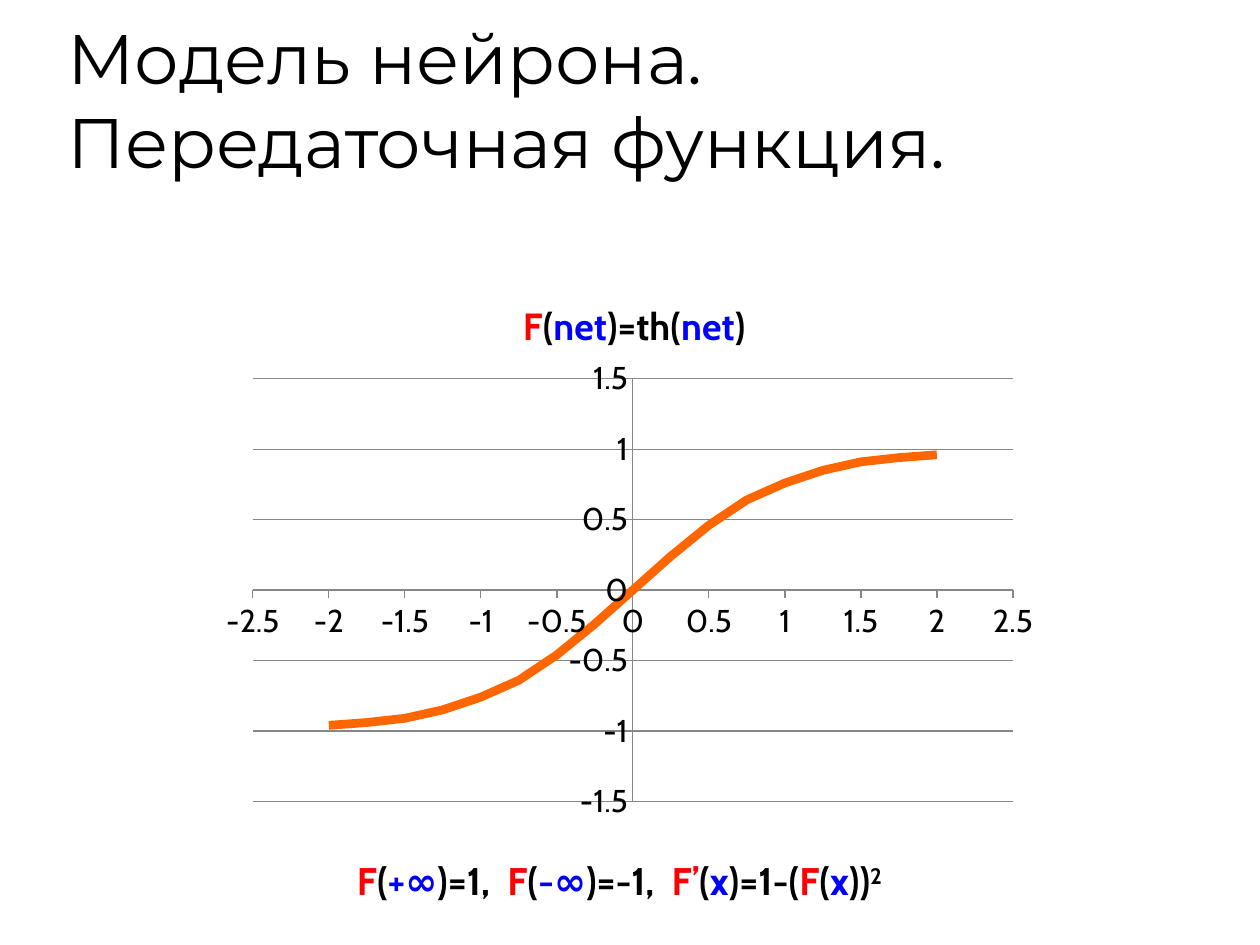
from math import tanh
from typing import NamedTuple

from pptx import Presentation
from pptx.chart.data import XyChartData
from pptx.dml.color import RGBColor
from pptx.enum.chart import XL_CHART_TYPE as ChartType, XL_TICK_MARK as Tick
from pptx.enum.text import MSO_ANCHOR as Anchor, MSO_AUTO_SIZE as AutoSize, PP_ALIGN as Align
from pptx.oxml import parse_xml
from pptx.oxml.ns import nsdecls, qn
from pptx.util import Emu, Pt

EMU_PER_PX = 914400 / 126
BLACK, RED, BLUE, ORANGE, GRAY = "000000", "FF0000", "0000FF", "FF6600", "878787"


class Box(NamedTuple):
    left: int
    top: int
    width: int
    height: int


class Term(NamedTuple):
    text: str
    color: str = BLACK
    superscript: bool = False


SLIDE = Box(0, 0, 1260, 945)
TITLE = Box(55, 32, 1071, 157)
CHART = Box(210, 273, 840, 560)
PLOT = Box(253, 379, 760, 423)
CHART_TITLE = Box(519, 297, 222, 46)
PROPERTIES = Box(84, 851, 1071, 59)

F, NET, X = Term("F", RED), Term("net", BLUE), Term("x", BLUE)
OPEN = Term("(")
FORMULA = [F, OPEN, NET, Term(")=th("), NET, Term(")")]
FORMULA_PROPERTIES = [
    F, OPEN, Term("+∞", BLUE), Term(")=1,  "),
    F, OPEN, Term("-∞", BLUE), Term(")=-1,  "),
    Term("F’", RED), OPEN, X, Term(")=1-("),
    F, OPEN, X, Term("))"), Term("2", superscript=True),
]


def px(length: int) -> Emu:
    return Emu(round(length * EMU_PER_PX))


def rgb(color: str) -> RGBColor:
    return RGBColor.from_string(color)


def place(box: Box) -> list[Emu]:
    return [px(length) for length in box]


def write_formula(paragraph, terms: list[Term], size: float) -> None:
    font = paragraph.font
    font.name, font.size, font.bold = "Cabin", Pt(size), True
    for term in terms:
        run = paragraph.add_run()
        run.text = term.text
        run.font.color.rgb = rgb(term.color)
        if term.superscript:
            run._r.get_or_add_rPr().set("baseline", "30000")


def set_layout(element, index: int, box: Box, sized: bool) -> None:
    """Fix a chart part at a slide position; only the plot area has a size."""
    for old_layout in element.findall(qn("c:layout")):
        element.remove(old_layout)
    values = {
        "x": (box.left - CHART.left) / CHART.width,
        "y": (box.top - CHART.top) / CHART.height,
    }
    if sized:
        values |= {"w": box.width / CHART.width, "h": box.height / CHART.height}
    target = '<c:layoutTarget val="inner"/>' if sized else ""
    modes = '<c:xMode val="edge"/><c:yMode val="edge"/>'
    sizes = "".join(f'<c:{key} val="{value:.3f}"/>' for key, value in values.items())
    element.insert(index, parse_xml(
        f'<c:layout {nsdecls("c")}><c:manualLayout>{target}{modes}{sizes}'
        "</c:manualLayout></c:layout>"))


def style_axis(axis, limit: float, tick: Tick) -> None:
    axis.minimum_scale, axis.maximum_scale, axis.major_unit = -limit, limit, 0.5
    axis.major_tick_mark, axis.minor_tick_mark = tick, Tick.NONE
    axis.tick_labels.number_format = "General"
    axis.tick_labels.number_format_is_linked = False
    axis.format.line.color.rgb = rgb(GRAY)
    axis.format.line.width = Pt(0.75)


def add_title(slide) -> None:
    title = slide.shapes.title
    title.left, title.top, title.width, title.height = place(TITLE)
    frame = title.text_frame
    frame.text = "Модель нейрона. Передаточная функция."
    frame.word_wrap, frame.auto_size = True, AutoSize.NONE
    frame.vertical_anchor = Anchor.BOTTOM
    paragraph = frame.paragraphs[0]
    paragraph.alignment = Align.LEFT
    paragraph.font.name, paragraph.font.size = "Montserrat", Pt(40)
    paragraph.font.color.rgb = rgb(BLACK)


def add_tanh_chart(slide) -> None:
    chart_data = XyChartData()
    points = chart_data.add_series("Series 1")
    for quarter in range(-8, 9):
        net = quarter / 4
        points.add_data_point(net, round(tanh(net), 2))
    chart = slide.shapes.add_chart(
        ChartType.XY_SCATTER_SMOOTH_NO_MARKERS, *place(CHART), chart_data).chart
    chart.has_legend = False
    chart.font.name, chart.font.size = "Cabin", Pt(18)
    chart.font.color.rgb = rgb(BLACK)

    plot = chart.plots[0]
    plot.vary_by_categories = False
    curve = plot.series[0]
    curve.smooth = True
    curve.format.line.color.rgb = rgb(ORANGE)
    curve.format.line.width = Pt(5)

    style_axis(chart.category_axis, 2.5, Tick.OUTSIDE)
    style_axis(chart.value_axis, 1.5, Tick.NONE)
    chart.category_axis.has_major_gridlines = False
    chart.value_axis.has_major_gridlines = True
    gridline = chart.value_axis.major_gridlines.format.line
    gridline.color.rgb, gridline.width = rgb(GRAY), Pt(0.75)

    chart.has_title = True
    heading = chart.chart_title
    write_formula(heading.text_frame.paragraphs[0], FORMULA, 21.6)
    set_layout(heading._element, 1, CHART_TITLE, sized=False)
    set_layout(chart._chartSpace.chart.plotArea, 0, PLOT, sized=True)


def add_properties(slide) -> None:
    frame = slide.shapes.add_textbox(*place(PROPERTIES)).text_frame
    frame.word_wrap, frame.auto_size = True, AutoSize.SHAPE_TO_FIT_TEXT
    paragraph = frame.paragraphs[0]
    paragraph.alignment = Align.CENTER
    write_formula(paragraph, FORMULA_PROPERTIES, 22)


def main() -> None:
    presentation = Presentation()
    presentation.slide_width, presentation.slide_height = px(SLIDE.width), px(SLIDE.height)
    slide = presentation.slides.add_slide(presentation.slide_layouts.get_by_name("Title Only"))
    add_title(slide)
    add_tanh_chart(slide)
    add_properties(slide)
    presentation.save("out.pptx")


if __name__ == "__main__":
    main()
